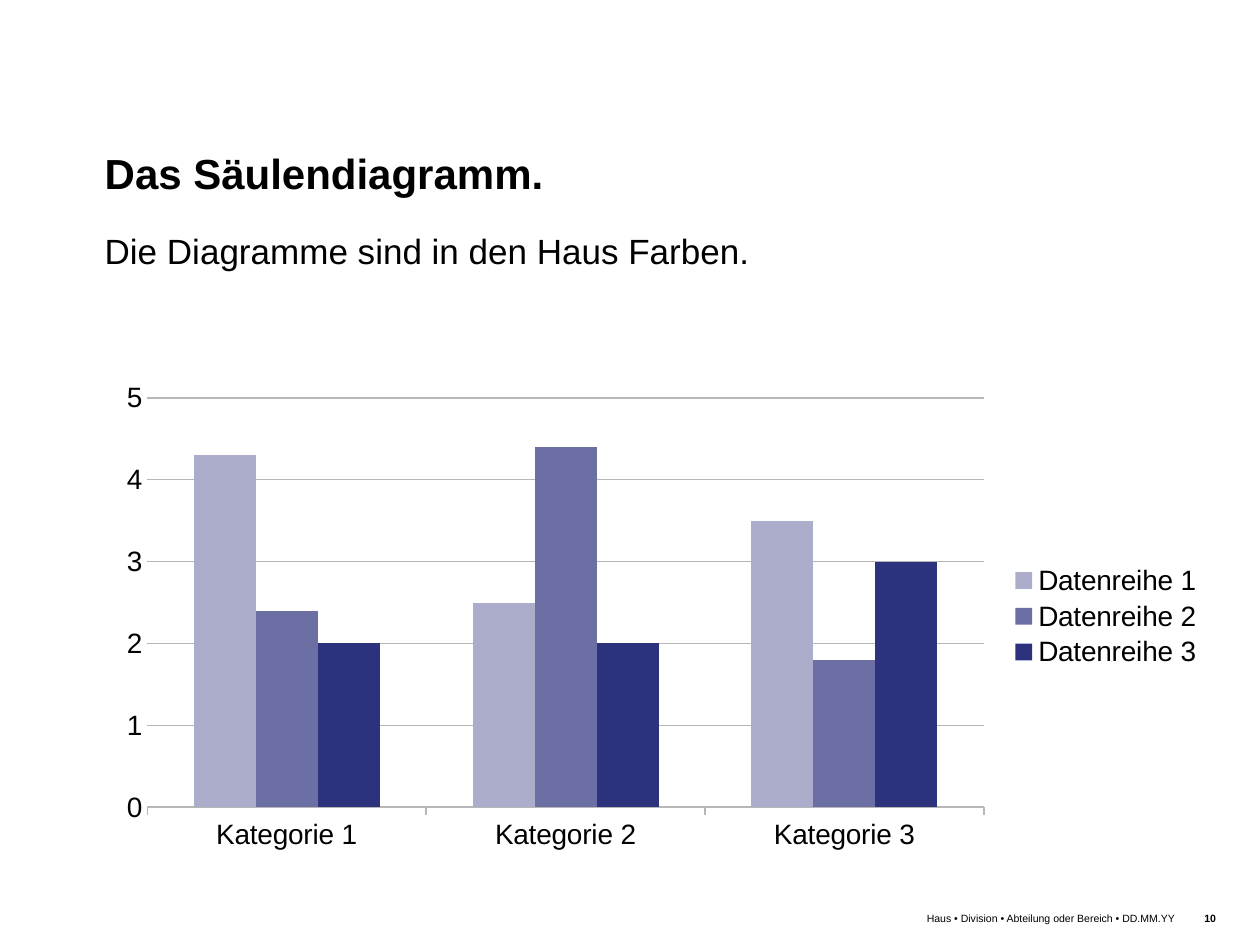
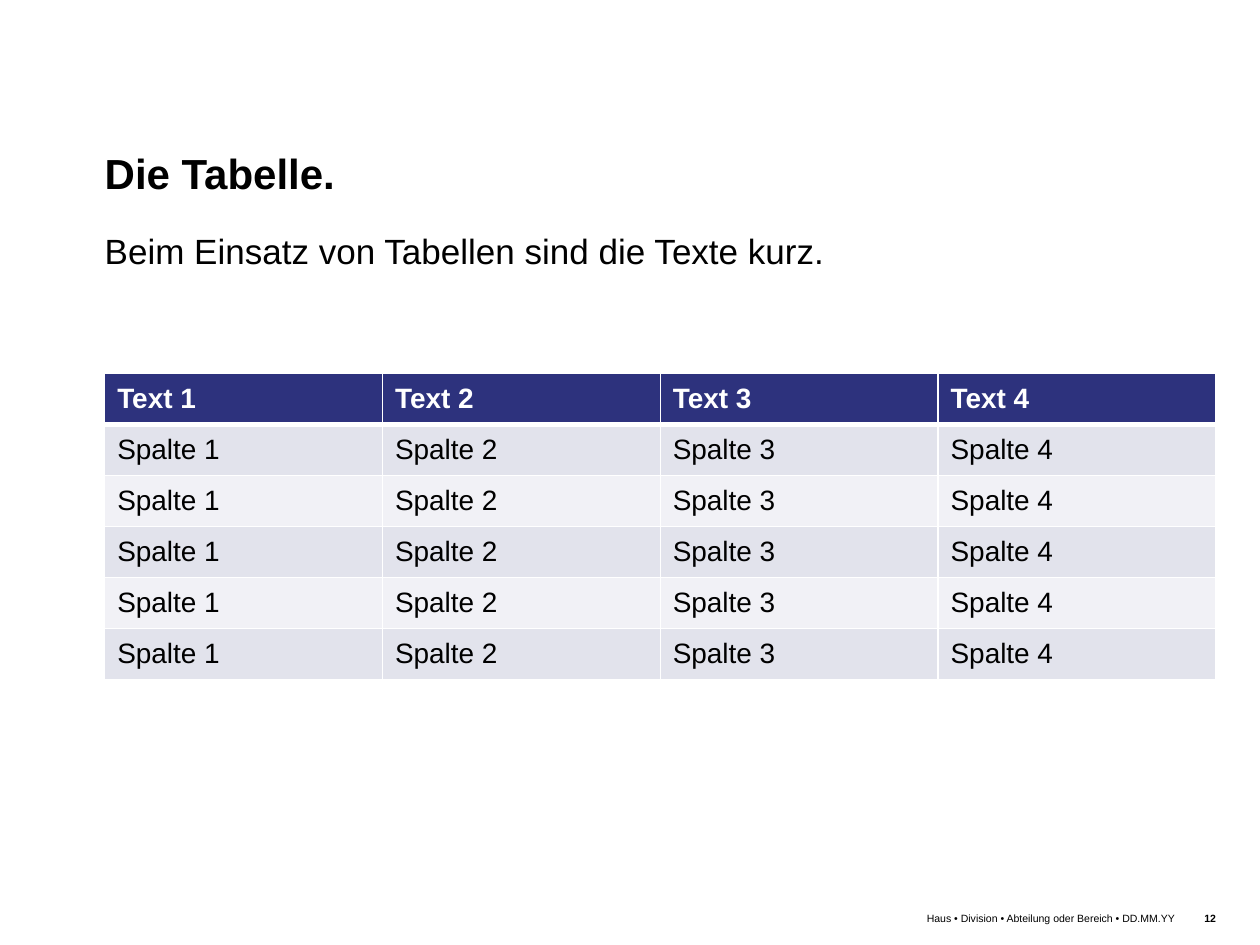
"""Build a column chart slide and a table slide that share one title, lead and footer frame."""
from dataclasses import dataclass

from lxml.etree import SubElement
from pptx import Presentation
from pptx.chart.data import CategoryChartData
from pptx.dml.color import RGBColor as RGB
from pptx.enum.chart import XL_CHART_TYPE as CHART, XL_LEGEND_POSITION as LEGEND, XL_TICK_MARK as TICK
from pptx.enum.text import MSO_ANCHOR as ANCHOR, PP_ALIGN as ALIGN
from pptx.oxml.ns import qn
from pptx.util import Pt

FOOTER = "Haus • Division • Abteilung oder Bereich • DD.MM.YY"
CHART_PAGE = ("Das Säulendiagramm.", "Die Diagramme sind in den Haus Farben.", "10")
TABLE_PAGE = ("Die Tabelle.", "Beim Einsatz von Tabellen sind die Texte kurz.", "12")
CATEGORIES = ["Kategorie 1", "Kategorie 2", "Kategorie 3"]
SERIES = [
    ("Datenreihe 1", (4.3, 2.5, 3.5), "ABADCB"),
    ("Datenreihe 2", (2.4, 4.4, 1.8), "6C6FA4"),
    ("Datenreihe 3", (2, 2, 3), "2D327D"),
]
HEADER = ["Text 1", "Text 2", "Text 3", "Text 4"]
ROWS = [["Spalte 1", "Spalte 2", "Spalte 3", "Spalte 4"]] * 5


@dataclass(frozen=True)
class Theme:
    font: str = "Arial"
    ink: str = "000000"
    paper: str = "FFFFFF"
    grid: str = "B7B7B7"
    header: str = "2D327D"
    bands: tuple = ("E2E3EC", "F1F1F6")
    title: int = 24
    lead: int = 20
    data: int = 16
    footer: int = 6


T = Theme()
LEFT, WIDTH, CONTENT_TOP = 59.8, 635, 213.2
RIGHT = LEFT + WIDTH
FOOT_TOP, FOOT_H, PAGE_W, FOOT_W = 521.3, 9.4, 23.5, 312


def style(font, size, color=T.ink, bold=False):
    font.name, font.size, font.bold = T.font, Pt(size), bold
    font.color.rgb = RGB.from_string(color)


def add_text(s, text, box, size, bold=False, align=ALIGN.LEFT, anchor=ANCHOR.TOP, spacing=None):
    tf = s.shapes.add_textbox(*map(Pt, box)).text_frame
    tf.margin_left = tf.margin_right = tf.margin_top = tf.margin_bottom = 0
    tf.word_wrap, tf.vertical_anchor = True, anchor
    p = tf.paragraphs[0]
    p.alignment, p.line_spacing = align, spacing
    r = p.add_run()
    r.text = text
    style(r.font, size, bold=bold)


def add_page(prs, title, lead, number):
    s = prs.slides.add_slide(prs.slide_layouts[6])
    page_left = RIGHT - PAGE_W
    add_text(s, title, (LEFT, 54.8, WIDTH, 58.2), T.title, True, anchor=ANCHOR.BOTTOM)
    add_text(s, FOOTER, (page_left - FOOT_W, FOOT_TOP, FOOT_W, FOOT_H), T.footer, align=ALIGN.RIGHT)
    add_text(s, number, (page_left, FOOT_TOP, PAGE_W, FOOT_H), T.footer, True, ALIGN.RIGHT)
    add_text(s, lead, (LEFT, 130.3, WIDTH, 57), T.lead, spacing=Pt(25))
    return s


def set_line(line):
    line.color.rgb, line.width = RGB.from_string(T.grid), Pt(0.75)


def add_columns(s):
    data = CategoryChartData()
    data.categories = CATEGORIES
    for name, values, _ in SERIES:
        data.add_series(name, values)
    box = map(Pt, (LEFT, CONTENT_TOP, WIDTH, 278))
    chart = s.shapes.add_chart(CHART.COLUMN_CLUSTERED, *box, data).chart
    style(chart.font, T.data)
    chart.has_title = False
    chart.has_legend = True
    chart.legend.position, chart.legend.include_in_layout = LEGEND.RIGHT, False
    plot = chart.plots[0]
    plot.gap_width, plot.overlap, plot.vary_by_categories = 150, 0, False
    for series, (_, _, color) in zip(plot.series, SERIES):
        series.format.fill.solid()
        series.format.fill.fore_color.rgb = RGB.from_string(color)
    cat, val = chart.category_axis, chart.value_axis
    cat.major_tick_mark = TICK.OUTSIDE
    set_line(cat.format.line)
    val.minimum_scale, val.maximum_scale, val.major_unit = 0, 5, 1
    val.major_tick_mark = TICK.NONE
    val.format.line.fill.background()
    set_line(val.major_gridlines.format.line)


def set_borders(cell, **widths):
    tc_pr = cell._tc.get_or_add_tcPr()
    for side in "LRTB":
        ln = SubElement(tc_pr, qn(f"a:ln{side}"), w=str(Pt(widths.get(side, 1))))
        SubElement(SubElement(ln, qn("a:solidFill")), qn("a:srgbClr"), val=T.paper)


def add_grid(s):
    rows = [HEADER] + ROWS
    row_h = 29.2
    box = map(Pt, (LEFT, CONTENT_TOP, WIDTH, row_h * len(rows)))
    table = s.shapes.add_table(len(rows), len(HEADER), *box).table
    for col in table.columns:
        col.width = Pt(WIDTH / len(HEADER))
    for i, texts in enumerate(rows):
        table.rows[i].height = Pt(row_h)
        head = i == 0
        for j, text in enumerate(texts):
            cell = table.cell(i, j)
            cell.vertical_anchor = ANCHOR.MIDDLE
            set_borders(cell, T=3 if i == 1 else 1, B=3 if head else 1)
            cell.fill.solid()
            cell.fill.fore_color.rgb = RGB.from_string(T.header if head else T.bands[(i - 1) % 2])
            r = cell.text_frame.paragraphs[0].add_run()
            r.text = text
            style(r.font, T.data, T.paper if head else T.ink, head)


prs = Presentation()
prs.slide_width, prs.slide_height = Pt(720), Pt(540)
add_columns(add_page(prs, *CHART_PAGE))
add_grid(add_page(prs, *TABLE_PAGE))
prs.save("out.pptx")
